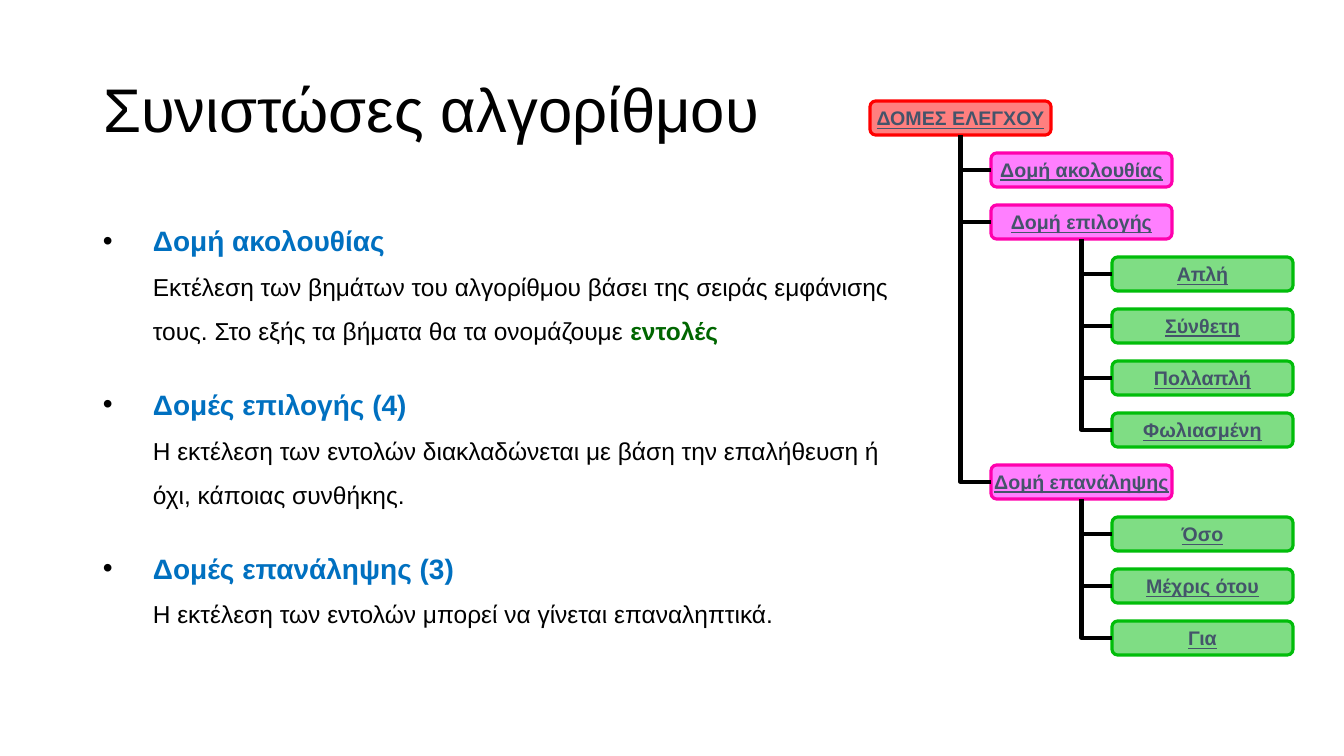
import pptx
import pptx.dml.color
import pptx.enum.shapes
import pptx.enum.text
import pptx.oxml
import pptx.oxml.ns
import pptx.util

SCALE = 914400 / 100.8
COLORS = {
    "text": "000000", "heading": "0070C0", "command": "006600", "label": "44546A",
    "red": "FF0000", "magenta": "FF00FF", "pink": "FF00AD", "green": "01BD0A",
}
LEVELS = [("red", "red"), ("magenta", "pink"), ("green", "green")]
TREE = [
    (0, "ΔΟΜΕΣ ΕΛΕΓΧΟΥ"),
    (1, "Δομή ακολουθίας"),
    (1, "Δομή επιλογής"),
    (2, "Απλή"),
    (2, "Σύνθετη"),
    (2, "Πολλαπλή"),
    (2, "Φωλιασμένη"),
    (1, "Δομή επανάληψης"),
    (2, "Όσο"),
    (2, "Μέχρις ότου"),
    (2, "Για"),
]
TOPICS = [
    ("Δομή ακολουθίας",
     "Εκτέλεση των βημάτων του αλγορίθμου βάσει της σειράς εμφάνισης τους. "
     "Στο εξής τα βήματα θα τα ονομάζουμε ", "εντολές"),
    ("Δομές επιλογής (4)",
     "Η εκτέλεση των εντολών διακλαδώνεται με βάση την επαλήθευση ή όχι, "
     "κάποιας συνθήκης.", ""),
    ("Δομές επανάληψης (3)",
     "Η εκτέλεση των εντολών μπορεί να γίνεται επαναληπτικά.", ""),
]


def px(length):
    """Turn pixels into EMU."""
    return pptx.util.Emu(round(length * SCALE))


def rgb(name):
    """Look up a named colour."""
    return pptx.dml.color.RGBColor.from_string(COLORS[name])


def assign(target, **values):
    """Set attributes from a dict of format values."""
    for name, value in values.items():
        setattr(target, name, value)


def add_span(para, text, size, color, **values):
    """Append a formatted run to a paragraph."""
    span = para.add_run()
    span.text = text
    assign(span.font, name="Arial", size=pptx.util.Pt(size), **values)
    span.font.color.rgb = rgb(color)


def fill_title(page, text):
    """Place and format the title placeholder."""
    title = page.shapes.title
    assign(title, left=px(93), top=px(40), width=px(1159), height=px(146))
    title.text_frame.vertical_anchor = pptx.enum.text.MSO_ANCHOR.MIDDLE
    para = title.text_frame.paragraphs[0]
    assign(para, alignment=pptx.enum.text.PP_ALIGN.LEFT, line_spacing=0.9)
    add_span(para, text, 44, "text")


def add_bullet(para):
    """Give a paragraph a hanging round bullet."""
    props = para._p.get_or_add_pPr()
    props.set("marL", str(px(50)))
    props.set("indent", str(-px(50)))
    color = pptx.oxml.ns.qn("a:buClr")
    fill = props.makeelement(color, {})
    fill.append(fill.makeelement(pptx.oxml.ns.qn("a:srgbClr"), {"val": COLORS["text"]}))
    props.append(fill)
    props.append(props.makeelement(pptx.oxml.ns.qn("a:buFont"), {"typeface": "Arial"}))
    props.append(props.makeelement(pptx.oxml.ns.qn("a:buChar"), {"char": "•"}))


def add_topics(page):
    """Add the bulleted explanations."""
    frame = page.shapes.add_textbox(px(93), px(202), px(809), px(480)).text_frame
    frame.word_wrap = True
    for index, (heading, detail, keyword) in enumerate(TOPICS):
        para = frame.add_paragraph() if index else frame.paragraphs[0]
        assign(para, line_spacing=1.5, space_before=pptx.util.Pt(10),
               space_after=pptx.util.Pt(8))
        add_bullet(para)
        add_span(para, heading, 20, "heading", bold=True)
        para.add_line_break()
        add_span(para, detail, 17.5, "text")
        if keyword:
            add_span(para, keyword, 17.5, "command", bold=True)


def add_node(page, row, level, text):
    """Add one translucent box of the tree."""
    fill, outline = LEVELS[level]
    box = page.shapes.add_shape(
        pptx.enum.shapes.MSO_SHAPE.ROUNDED_RECTANGLE,
        px(870 + 121 * level), px(101 + 52 * row), px(181), px(34))
    box.shadow.inherit = False
    box.fill.solid()
    box.fill.fore_color.rgb = rgb(fill)
    color = box._element.spPr.find(".//" + pptx.oxml.ns.qn("a:srgbClr"))
    color.append(color.makeelement(pptx.oxml.ns.qn("a:alpha"), {"val": "50000"}))
    box.line.color.rgb = rgb(outline)
    box.line.width = pptx.util.Pt(2.25)
    frame = box.text_frame
    assign(frame, margin_left=0, margin_right=0, margin_top=0, margin_bottom=0,
           word_wrap=False, vertical_anchor=pptx.enum.text.MSO_ANCHOR.MIDDLE)
    para = frame.paragraphs[0]
    para.alignment = pptx.enum.text.PP_ALIGN.CENTER
    add_span(para, text, 14, "label", bold=True, underline=True)
    return box


def join(page, child, parent):
    """Connect the left of a child to the bottom of its parent."""
    link = page.shapes.add_connector(
        pptx.enum.shapes.MSO_CONNECTOR.ELBOW, 0, 0, 0, 0)
    link.begin_connect(child, 1)
    link.end_connect(parent, 2)
    link.line.color.rgb = rgb("text")
    link.line.width = pptx.util.Pt(3)
    props = link._element.spPr
    props.find(pptx.oxml.ns.qn("a:prstGeom")).set("prst", "bentConnector2")
    props.append(props.makeelement(pptx.oxml.ns.qn("a:effectLst"), {}))


def add_tree(page):
    """Draw the tree, joining each node to the last one a level above."""
    latest = {}
    for row, (level, text) in enumerate(TREE):
        latest[level] = add_node(page, row, level, text)
        if level:
            join(page, latest[level], latest[level - 1])


def main():
    """Build and save the slide."""
    deck = pptx.Presentation()
    assign(deck, slide_width=px(1344), slide_height=px(756))
    page = deck.slides.add_slide(deck.slide_layouts[5])
    fill_title(page, "Συνιστώσες αλγορίθμου")
    add_topics(page)
    add_tree(page)
    deck.save("out.pptx")


main()
